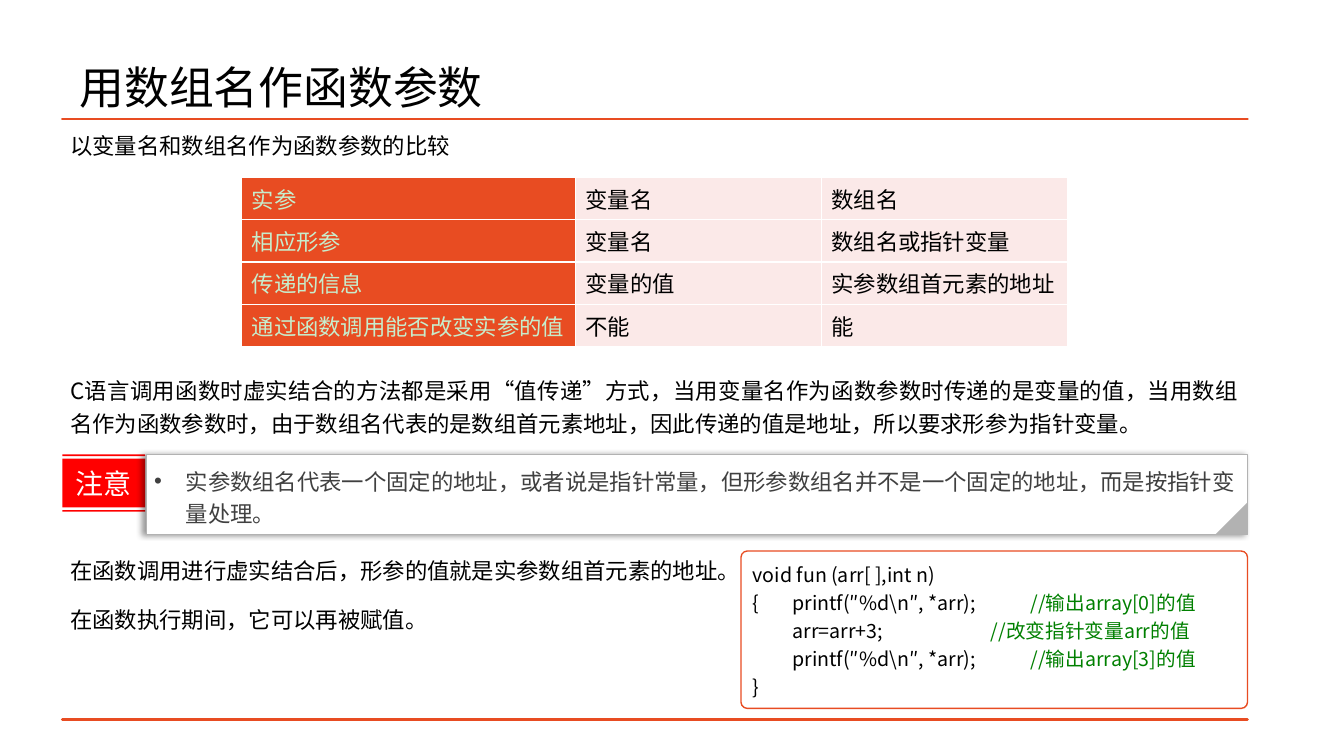
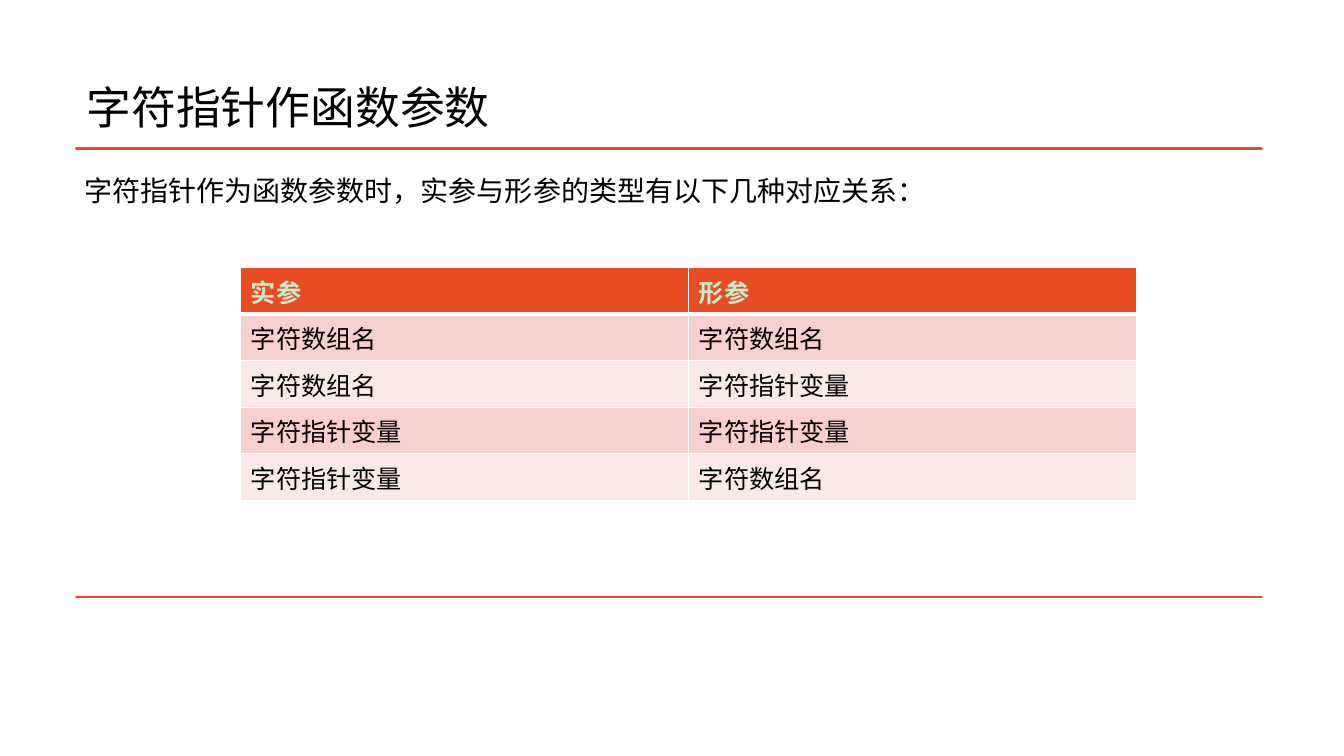
"""Build two slides on passing arrays and character pointers to C functions."""
from lxml import etree
from pptx import Presentation
from pptx.dml.color import RGBColor
from pptx.enum.shapes import MSO_SHAPE
from pptx.enum.text import MSO_ANCHOR, PP_ALIGN
from pptx.oxml import parse_xml
from pptx.oxml.ns import nsdecls, qn
from pptx.util import Pt

RECTANGLE = MSO_SHAPE.RECTANGLE
ROUNDED = MSO_SHAPE.ROUNDED_RECTANGLE
TRIANGLE = MSO_SHAPE.RIGHT_TRIANGLE
TOP, MIDDLE = MSO_ANCHOR.TOP, MSO_ANCHOR.MIDDLE
LEFT, CENTER, JUSTIFY = PP_ALIGN.LEFT, PP_ALIGN.CENTER, PP_ALIGN.JUSTIFY

FONT = "Noto Sans CJK SC"
ORANGE = RGBColor(0xE8, 0x4C, 0x22)
PINK = RGBColor(0xF6, 0xD0, 0xCD)
PALE_PINK = RGBColor(0xFB, 0xE9, 0xE8)
PALE_GREEN = RGBColor(0xC7, 0xED, 0xCC)
CODE_GREEN = RGBColor(0x00, 0x80, 0x00)
RED = RGBColor(0xFF, 0x00, 0x00)
GRAY = RGBColor(0xB2, 0xB2, 0xB2)
DARK_GRAY = RGBColor(0x40, 0x40, 0x40)
BLACK = RGBColor(0x00, 0x00, 0x00)
WHITE = RGBColor(0xFF, 0xFF, 0xFF)

CONTENT_WIDTH = 846.6
INSET = 5.76
TAB_STEP = 28.35


def add_run(paragraph, text, size, color=BLACK, bold=False):
    """Append a run in the shared font."""
    run = paragraph.add_run()
    run.text = text
    run.font.size = Pt(size)
    run.font.name = FONT
    run.font.bold = bold
    run.font.color.rgb = color
    etree.SubElement(run._r.get_or_add_rPr(), qn("a:ea"), typeface=FONT)


def fill_text(shape, lines, size, color=BLACK, inset=INSET, anchor=TOP,
              align=JUSTIFY, spacing=1.2, gap=6):
    """Write one paragraph per line with shared spacing."""
    frame = shape.text_frame
    frame.word_wrap = True
    frame.vertical_anchor = anchor
    frame.margin_left = frame.margin_right = Pt(inset)
    frame.margin_top = frame.margin_bottom = Pt(inset)
    for index, line in enumerate(lines):
        paragraph = frame.add_paragraph() if index else frame.paragraphs[0]
        paragraph.alignment = align
        paragraph.line_spacing = spacing
        paragraph.space_before = paragraph.space_after = Pt(gap)
        add_run(paragraph, line, size, color)


PAGES = [
    dict(
        title="用数组名作函数参数", title_at=(49.7, 26.6),
        left=44.5, rules=(85, 514), size=16, spacing=1.2,
        body=[
            "以变量名和数组名作为函数参数的比较",
            "C语言调用函数时虚实结合的方法都是采用“值传递”方式，当用变量名作为函数参数时传递的是变量的值，"
            "当用数组名作为函数参数时，由于数组名代表的是数组首元素地址，因此传递的值是地址，所以要求形参为指针变量。",
            "在函数调用进行虚实结合后，形参的值就是实参数组首元素的地址。",
            "在函数执行期间，它可以再被赋值。",
        ],
        space_before=(6, 146, 76, 6),
        table_at=(172.6, 126.8), columns=(238.5, 175.6, 175.6), row_height=30.2,
        cell_size=16, header_row=False,
        rows=[
            ("实参", "变量名", "数组名"),
            ("相应形参", "变量名", "数组名或指针变量"),
            ("传递的信息", "变量的值", "实参数组首元素的地址"),
            ("通过函数调用能否改变实参的值", "不能", "能"),
        ],
    ),
    dict(
        title="字符指针作函数参数", title_at=(54.7, 41),
        left=54.5, rules=(106.3, 426.5), size=20, spacing=1.5,
        body=["字符指针作为函数参数时，实参与形参的类型有以下几种对应关系："],
        space_before=(6,),
        table_at=(172, 191.3), columns=(320, 320), row_height=33.2,
        cell_size=18, header_row=True,
        rows=[
            ("实参", "形参"),
            ("字符数组名", "字符数组名"),
            ("字符数组名", "字符指针变量"),
            ("字符指针变量", "字符指针变量"),
            ("字符指针变量", "字符数组名"),
        ],
    ),
]

presentation = Presentation()
presentation.slide_width = Pt(960)
presentation.slide_height = Pt(540)

for page in PAGES:
    slide = presentation.slides.add_slide(presentation.slide_layouts[6])
    title_left, title_top = page["title_at"]
    title = slide.shapes.add_textbox(Pt(title_left), Pt(title_top), Pt(828), Pt(75))
    fill_text(title, [page["title"]], 32, inset=7.2, anchor=MIDDLE, align=LEFT,
              spacing=0.9, gap=0)

    left, right = Pt(page["left"]), Pt(page["left"] + CONTENT_WIDTH)
    upper, lower = (Pt(rule) for rule in page["rules"])
    builder = slide.shapes.build_freeform(left, lower)
    builder.add_line_segments([(right, lower)], close=True)
    builder.move_to(left, upper)
    builder.add_line_segments([(right, upper)], close=True)
    body = builder.convert_to_shape()
    body.shadow.inherit = False
    body.fill.background()
    body.line.color.rgb = ORANGE
    body.line.width = Pt(2)
    fill_text(body, page["body"], page["size"], spacing=page["spacing"])
    for paragraph, space in zip(body.text_frame.paragraphs, page["space_before"]):
        paragraph.space_before = Pt(space)

    rows, columns = page["rows"], page["columns"]
    table_left, table_top = page["table_at"]
    table = slide.shapes.add_table(
        len(rows), len(columns), Pt(table_left), Pt(table_top),
        Pt(sum(columns)), Pt(page["row_height"] * len(rows))).table
    table.first_row = table.horz_banding = False
    for column, width in zip(table.columns, columns):
        column.width = Pt(width)
    for row_index, row in enumerate(rows):
        table.rows[row_index].height = Pt(page["row_height"])
        for column_index, text in enumerate(row):
            cell = table.cell(row_index, column_index)
            top_header = page["header_row"] and row_index == 0
            is_header = top_header or not page["header_row"] and column_index == 0
            for side in "LRTB":
                width = 3 if top_header and side == "B" else 1
                cell._tc.get_or_add_tcPr().append(parse_xml(
                    f'<a:ln{side} {nsdecls("a")} w="{Pt(width)}"><a:solidFill>'
                    f'<a:srgbClr val="{WHITE}"/></a:solidFill></a:ln{side}>'))
            banded = page["header_row"] and row_index % 2
            cell.fill.solid()
            cell.fill.fore_color.rgb = ORANGE if is_header else PINK if banded else PALE_PINK
            add_run(cell.text_frame.paragraphs[0], text, page["cell_size"],
                    PALE_GREEN if is_header else BLACK, top_header)

slide = presentation.slides[0]
left = PAGES[0]["left"]
right = left + CONTENT_WIDTH

for top, height, label in ((324.6, 1.2, ""), (327.6, 34.8, "注意"), (364.4, 1.2, "")):
    bar = slide.shapes.add_shape(RECTANGLE, Pt(left), Pt(top), Pt(59.3), Pt(height))
    bar.shadow.inherit = False
    bar.fill.solid()
    bar.fill.fore_color.rgb = RED
    bar.line.fill.background()
    if label:
        fill_text(bar, [label], 20, WHITE, inset=0, anchor=MIDDLE, align=CENTER,
                  spacing=1, gap=0)

note = slide.shapes.add_shape(RECTANGLE, Pt(104.4), Pt(324.5), Pt(right - 104.4), Pt(57.4))
note.fill.solid()
note.fill.fore_color.rgb = WHITE
note.line.color.rgb = GRAY
note.line.width = Pt(0.75)
note._element.spPr.append(parse_xml(
    f'<a:effectLst {nsdecls("a")}><a:outerShdw blurRad="{Pt(4)}" dist="{Pt(3)}" '
    f'dir="10800000" algn="r" rotWithShape="0"><a:srgbClr val="{BLACK}">'
    '<a:alpha val="40000"/></a:srgbClr></a:outerShdw></a:effectLst>'))
fill_text(note, ["实参数组名代表一个固定的地址，或者说是指针常量，但形参数组名并不是一个固定的地址，"
                 "而是按指针变量处理。"], 16, DARK_GRAY, align=LEFT, gap=0)
properties = note.text_frame.paragraphs[0]._p.get_or_add_pPr()
properties.set("marL", str(Pt(22.5)))
properties.set("indent", str(-Pt(22.5)))
etree.SubElement(properties, qn("a:buFont"), typeface="Arial")
etree.SubElement(properties, qn("a:buChar"), char="•")

corner = slide.shapes.add_shape(TRIANGLE, Pt(right - 23.2), Pt(358.8), Pt(23.2), Pt(23.2))
corner.shadow.inherit = False
corner.rotation = 270
corner.fill.solid()
corner.fill.fore_color.rgb = GRAY
corner.line.fill.background()

CODE = [
    ("void fun (arr[ ],int n)", ""),
    ("{\tprintf(″%d\\n″, *arr);\t\t", "//输出array[0]的值"),
    ("\tarr=arr+3;\t\t\t", "//改变指针变量arr的值"),
    ("\tprintf(″%d\\n″, *arr);\t\t", "//输出array[3]的值"),
    ("}", ""),
]
code_box = slide.shapes.add_shape(ROUNDED, Pt(529.3), Pt(393.6), Pt(right - 529.3), Pt(112.4))
code_box.shadow.inherit = False
code_box.adjustments[0] = 0.04
code_box.fill.solid()
code_box.fill.fore_color.rgb = WHITE
code_box.line.color.rgb = ORANGE
code_box.line.width = Pt(1)
fill_text(code_box, [code for code, comment in CODE], 14, inset=3.6, gap=0)
code_box.text_frame.margin_left = code_box.text_frame.margin_right = Pt(7.2)
for paragraph, (code, comment) in zip(code_box.text_frame.paragraphs, CODE):
    tabs = etree.SubElement(paragraph._p.get_or_add_pPr(), qn("a:tabLst"))
    for stop in range(1, 8):
        etree.SubElement(tabs, qn("a:tab"), pos=str(Pt(TAB_STEP * stop)), algn="l")
    if comment:
        add_run(paragraph, comment, 14, CODE_GREEN)

presentation.save("out.pptx")
